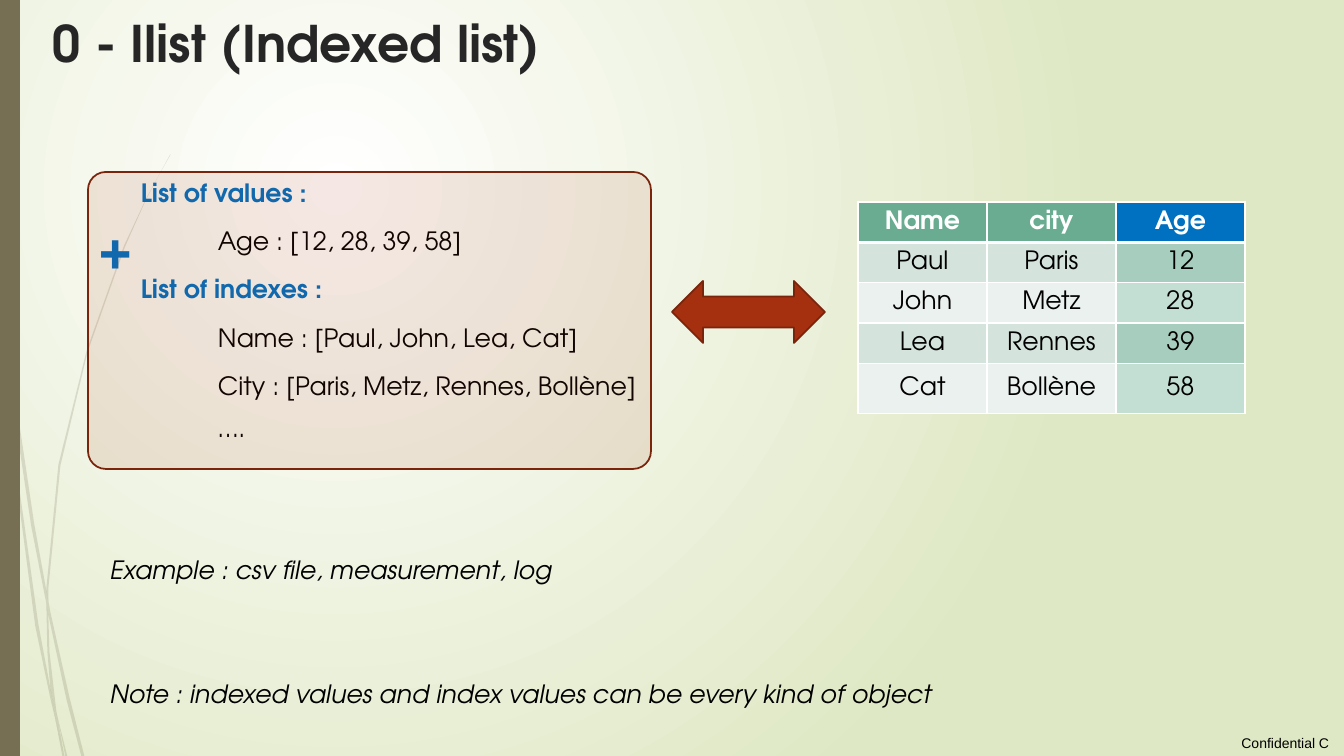
from lxml.etree import SubElement
from pptx import Presentation
from pptx.dml.color import RGBColor
from pptx.enum.shapes import MSO_SHAPE as Shape
from pptx.enum.text import MSO_ANCHOR as Anchor, PP_ALIGN as Align
from pptx.oxml.ns import qn
from pptx.util import Emu, Pt

SCALE = 914400 / 100.8
HUNDREDTH_INCH = 9144
FONT = "TeX Gyre Adventor"
BLACK, WHITE, BLUE, GREEN = "000000", "FFFFFF", "0070C0", "6AAC91"
BROWN, RUST, DARK_RUST = "766F54", "A53010", "7A240C"

# Outlines of the grass blades, in hundredths of an inch
BLADES = [
    [(6, 350), (5, 322), (0, 282), (0, 299), (5, 344)],
    [(31, 522), (46, 599), (46, 586), (34, 520), (8, 345), (9, 376)],
    [(50, 607), (48, 596), (48, 610), (66, 694), (81, 751), (84, 751), (69, 692)],
    [(65, 751), (67, 751), (57, 711)],
    [(50, 683), (38, 619), (17, 469), (9, 376), (6, 350), (15, 470),
     (35, 621), (50, 693), (55, 714), (54, 707)],
    [(4, 316), (5, 322), (7, 344), (8, 345), (6, 315), (3, 161), (5, 25), (2, 161)],
    [(46, 599), (47, 646), (50, 683), (52, 692), (57, 711), (56, 706),
     (49, 646), (48, 610), (47, 608)],
    [(48, 584), (60, 462), (87, 349), (124, 245), (145, 198), (157, 175),
     (169, 154), (169, 153), (157, 175), (145, 197), (123, 244), (86, 348),
     (58, 461), (46, 584), (46, 586), (48, 596)],
    [(55, 714), (62, 751), (64, 751)],
    [(47, 608), (48, 610), (48, 596), (46, 586), (46, 599)],
    [(52, 692), (50, 683), (54, 707), (55, 714), (64, 751), (57, 711)],
]
LIST_LINES = [
    (131, 172, "List of values :"),
    (208, 220, "Age : [12, 28, 39, 58]"),
    (131, 268, "List of indexes :"),
    (208, 317, "Name : [Paul, John, Lea, Cat]"),
    (208, 365, "City : [Paris, Metz, Rennes, Bollène]"),
    (208, 407, "…."),
]
PEOPLE = [
    ("Name", "city", "Age"),
    ("Paul", "Paris", "12"),
    ("John", "Metz", "28"),
    ("Lea", "Rennes", "39"),
    ("Cat", "Bollène", "58"),
]


def px(length):
    """Turn pixels into EMU."""
    return Emu(round(length * SCALE))


def color(hex_text):
    """Turn a hex string into a colour."""
    return RGBColor.from_string(hex_text)


def write(frame, text, size=18, ink=BLACK, bold=False, italic=False,
          font=FONT, align=Align.LEFT):
    """Put one run of text into a frame."""
    para = frame.paragraphs[0]
    para.alignment = align
    span = para.add_run()
    span.text = text
    span.font.name, span.font.size = font, Pt(size)
    span.font.bold, span.font.italic = bold, italic
    span.font.color.rgb = color(ink)


def add_text(page, left, top, width, height, text, **style):
    """Add a wrapping text box and return its frame."""
    box = page.shapes.add_textbox(px(left), px(top), px(width), px(height))
    box.text_frame.word_wrap = True
    write(box.text_frame, text, **style)
    return box.text_frame


def paint(shape, fill, line=None, opacity=100):
    """Set a shape's fill, opacity and outline, without a shadow."""
    shape.shadow.inherit = False
    shape.fill.solid()
    shape.fill.fore_color.rgb = color(fill)
    if opacity < 100:
        tint = shape.element.spPr.find(qn("a:solidFill") + "/" + qn("a:srgbClr"))
        SubElement(tint, qn("a:alpha"), val=str(opacity * 1000))
    if line:
        shape.line.color.rgb = color(line)
        shape.line.width = Pt(1.25)
    else:
        shape.line.fill.background()


def add_preset(page, kind, left, top, width, height, *look):
    """Add a painted preset shape."""
    shape = page.shapes.add_shape(kind, px(left), px(top), px(width), px(height))
    paint(shape, *look)
    return shape


def add_blade(page, points):
    """Add one translucent grass blade."""
    builder = page.shapes.build_freeform(*points[0], scale=HUNDREDTH_INCH)
    builder.add_line_segments(points[1:], close=True)
    paint(builder.convert_to_shape(), BROWN, opacity=20)


def set_background(page):
    """Give the page a circular gradient from white to pale green."""
    fill = page.background.fill
    fill.gradient()
    for stop, tone in zip(fill.gradient_stops, (WHITE, "DFE8C4")):
        stop.color.rgb = color(tone)
    gradient = page.element.find(".//" + qn("a:gradFill"))
    gradient.remove(gradient.find(qn("a:lin")))
    circle = SubElement(gradient, qn("a:path"), path="circle")
    SubElement(circle, qn("a:fillToRect"), l="50000", t="50000", r="100000", b="100000")


def set_borders(cell, bottom):
    """Draw white cell borders, with the bottom one of a given width."""
    props = cell._tc.get_or_add_tcPr()
    for index, (side, points) in enumerate(zip("LRTB", (1, 1, 1, bottom))):
        edge = props.makeelement(qn("a:ln" + side), {"w": str(Pt(points))})
        fill = SubElement(edge, qn("a:solidFill"))
        SubElement(fill, qn("a:srgbClr"), val=WHITE)
        props.insert(index, edge)


def cell_fill(row, is_age):
    """Pick the fill of a table cell."""
    if row == 0:
        return BLUE if is_age else GREEN
    if row % 2:
        return "A6CDBD" if is_age else "D4E3DC"
    return "C3DED3" if is_age else "EBF1EE"


def add_people_table(page):
    """Add the table of names, cities and ages."""
    table = page.shapes.add_table(5, 3, px(858), px(202), px(387), px(210)).table
    table.first_row = table.horz_banding = False
    for column in table.columns:
        column.width = px(129)
    for row, texts in enumerate(PEOPLE):
        table.rows[row].height = px(50 if row == 4 else 40)
        for column, text in enumerate(texts):
            cell = table.cell(row, column)
            cell.vertical_anchor = Anchor.MIDDLE
            cell.fill.solid()
            cell.fill.fore_color.rgb = color(cell_fill(row, column == 2))
            write(cell.text_frame, text, ink=BLACK if row else WHITE,
                  bold=row == 0, align=Align.CENTER)
            # The edge shared with the header row is thicker
            set_borders(cell, 1 if row else 3)


def add_footer(page):
    """Add the confidentiality mark in the lower right corner."""
    frame = add_text(page, 1225, 729, 119, 27, "Confidential C", size=10,
                     font="Arial", align=Align.RIGHT)
    frame.margin_left = frame.margin_top = frame.margin_bottom = 0
    frame.margin_right = px(15)
    frame.vertical_anchor = Anchor.MIDDLE


def main():
    """Build the slide and save it."""
    deck = Presentation()
    deck.slide_width, deck.slide_height = px(1344), px(756)
    page = deck.slides.add_slide(deck.slide_layouts[6])
    set_background(page)
    for points in BLADES:
        add_blade(page, points)
    add_preset(page, Shape.RECTANGLE, 0, 0, 20, 756, BROWN)
    add_footer(page)
    add_text(page, 43, 7, 541, 76, "0 - Ilist (Indexed list)", size=36,
             ink="262626", bold=True)
    for left, top, text in LIST_LINES:
        heading = left == 131
        add_text(page, left, top, 443, 40, text, bold=heading,
                 ink=BLUE if heading else BLACK)
    add_preset(page, Shape.LEFT_RIGHT_ARROW, 672, 281, 153, 62, RUST, DARK_RUST)
    add_people_table(page)
    add_text(page, 88, 212, 43, 72, "+", size=36, ink=BLUE, bold=True)
    add_text(page, 100, 549, 1013, 40, "Example : csv file, measurement, log", italic=True)
    add_text(page, 100, 673, 1013, 40,
             "Note : indexed values and index values can be every kind of object",
             italic=True)
    panel = add_preset(page, Shape.ROUNDED_RECTANGLE, 88, 172, 563, 297,
                       RUST, DARK_RUST, 11)
    panel.adjustments[0] = 0.06
    deck.save("out.pptx")


main()
